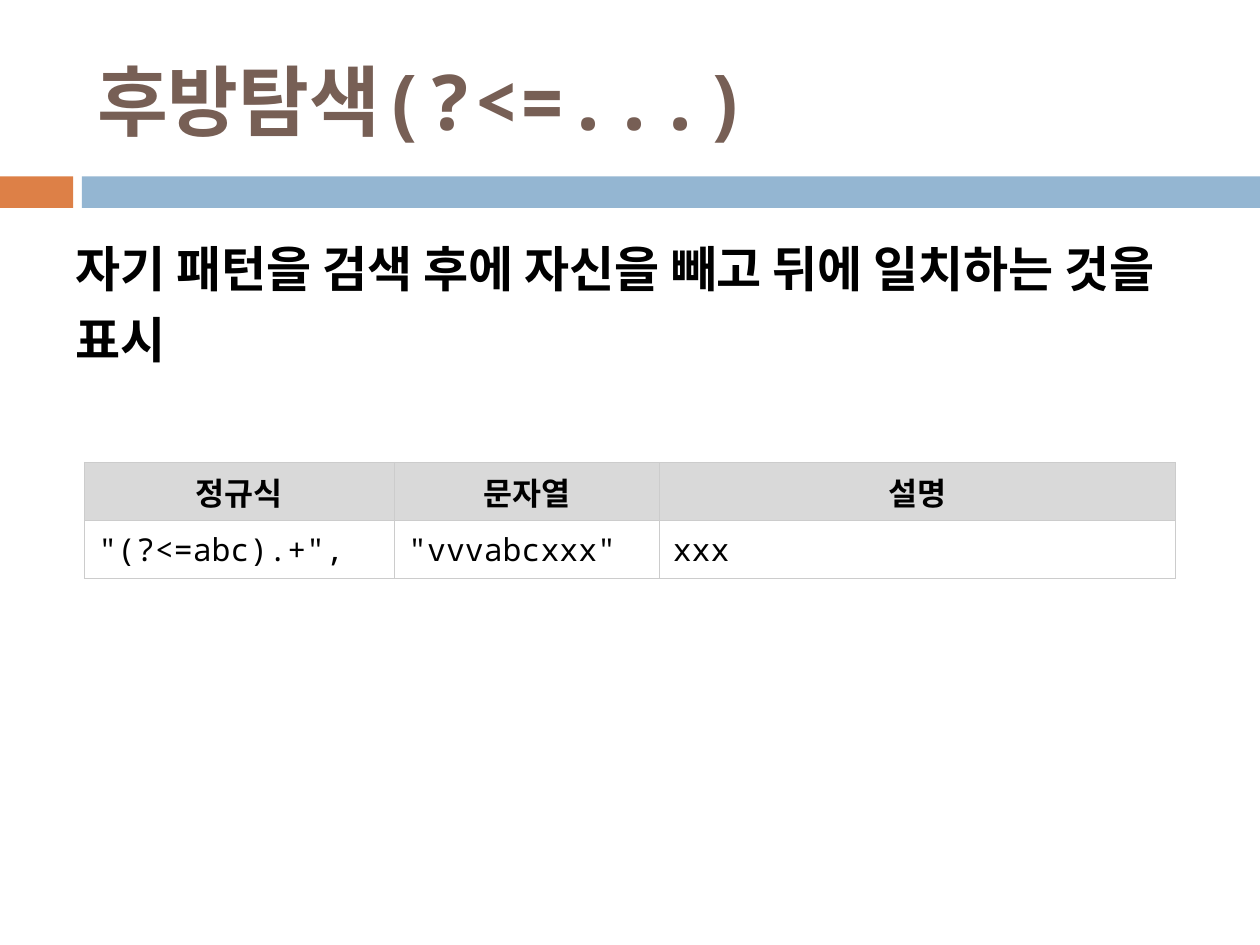
from dataclasses import dataclass

from lxml.etree import SubElement as Sub
from pptx import Presentation
from pptx.dml.color import RGBColor as RGB
from pptx.enum.shapes import MSO_SHAPE as Shape
from pptx.enum.text import MSO_ANCHOR as Anchor, MSO_AUTO_SIZE as Fit, PP_ALIGN as Align
from pptx.oxml.ns import qn
from pptx.util import Inches, Pt


@dataclass(frozen=True)
class Theme:
    face: str = "Noto Sans Mono"
    brown: str = "775F55"
    orange: str = "DD8047"
    blue: str = "94B6D2"
    black: str = "000000"
    gray: str = "D9D9D9"
    white: str = "FFFFFF"
    rule: str = "CCCCCC"
    head: int = 44
    body: int = 28
    cell: int = 18


THEME = Theme()


def write(frame, text, size, color, bold=True, align=Align.LEFT):
    frame.word_wrap = True
    para = frame.paragraphs[0]
    para.text = text
    para.alignment = align
    font = para.font
    font.name, font.size, font.bold = THEME.face, Pt(size), bold
    font.color.rgb = RGB.from_string(color)
    return para


def add_title(slide, box, text):
    title = slide.shapes.title
    title.left, title.top, title.width, title.height = map(Inches, box)
    frame = title.text_frame
    frame.auto_size = Fit.NONE
    frame.vertical_anchor = Anchor.MIDDLE
    write(frame, text, THEME.head, THEME.brown)


def add_band(slide, box):
    left, top, width, height = box
    tab, gap = 0.58, 0.07
    start = tab + gap
    for x, w, color in ((0, tab, THEME.orange), (start, width - start, THEME.blue)):
        bar = slide.shapes.add_shape(
            Shape.RECTANGLE, Inches(left + x), Inches(top), Inches(w), Inches(height))
        bar.shadow.inherit = False
        bar.fill.solid()
        bar.fill.fore_color.rgb = RGB.from_string(color)
        bar.line.fill.background()


def add_body(slide, box, text):
    frame = slide.shapes.add_textbox(*map(Inches, box)).text_frame
    para = write(frame, text, THEME.body, THEME.black)
    para.line_spacing = 1.2


def add_rules(cell):
    props = cell._tc.get_or_add_tcPr()
    for i, side in enumerate(("lnL", "lnR", "lnT", "lnB")):
        line = props.makeelement(qn(f"a:{side}"), {"w": str(Pt(0.6))})
        fill = Sub(line, qn("a:solidFill"))
        Sub(fill, qn("a:srgbClr"), val=THEME.rule)
        props.insert(i, line)


def add_grid(slide, box, cols, rows):
    frame = slide.shapes.add_table(len(rows), len(cols), *map(Inches, box))
    table = frame.table
    for col, width in zip(table.columns, cols):
        col.width = Inches(width)
    for r, row in enumerate(rows):
        top = r == 0
        table.rows[r].height = Inches(box[3] / len(rows))
        for c, text in enumerate(row):
            cell = table.cell(r, c)
            cell.vertical_anchor = Anchor.MIDDLE
            cell.margin_left = cell.margin_right = Inches(0.11)
            cell.margin_top = cell.margin_bottom = Inches(0.05)
            cell.fill.solid()
            cell.fill.fore_color.rgb = RGB.from_string(THEME.gray if top else THEME.white)
            write(cell.text_frame, text, THEME.cell, THEME.black, top,
                  Align.CENTER if top else Align.LEFT)
            add_rules(cell)


def main():
    deck = Presentation()
    deck.slide_width, deck.slide_height = Inches(10), Inches(7.5)
    slide = deck.slides.add_slide(deck.slide_layouts[5])
    add_band(slide, (0, 1.4, 10, 0.25))
    add_title(slide, (0.67, 0.25, 8.92, 1.08), "후방탐색(?<=...)")
    add_body(slide, (0.5, 1.75, 9, 0.66),
             "자기 패턴을 검색 후에 자신을 빼고 뒤에 일치하는 것을 표시")
    add_grid(slide, (0.67, 3.67, 8.66, 0.92), (2.46, 2.1, 4.1), (
        ("정규식", "문자열", "설명"),
        ('"(?<=abc).+",', '"vvvabcxxx"', "xxx"),
    ))
    deck.save("out.pptx")


if __name__ == "__main__":
    main()
